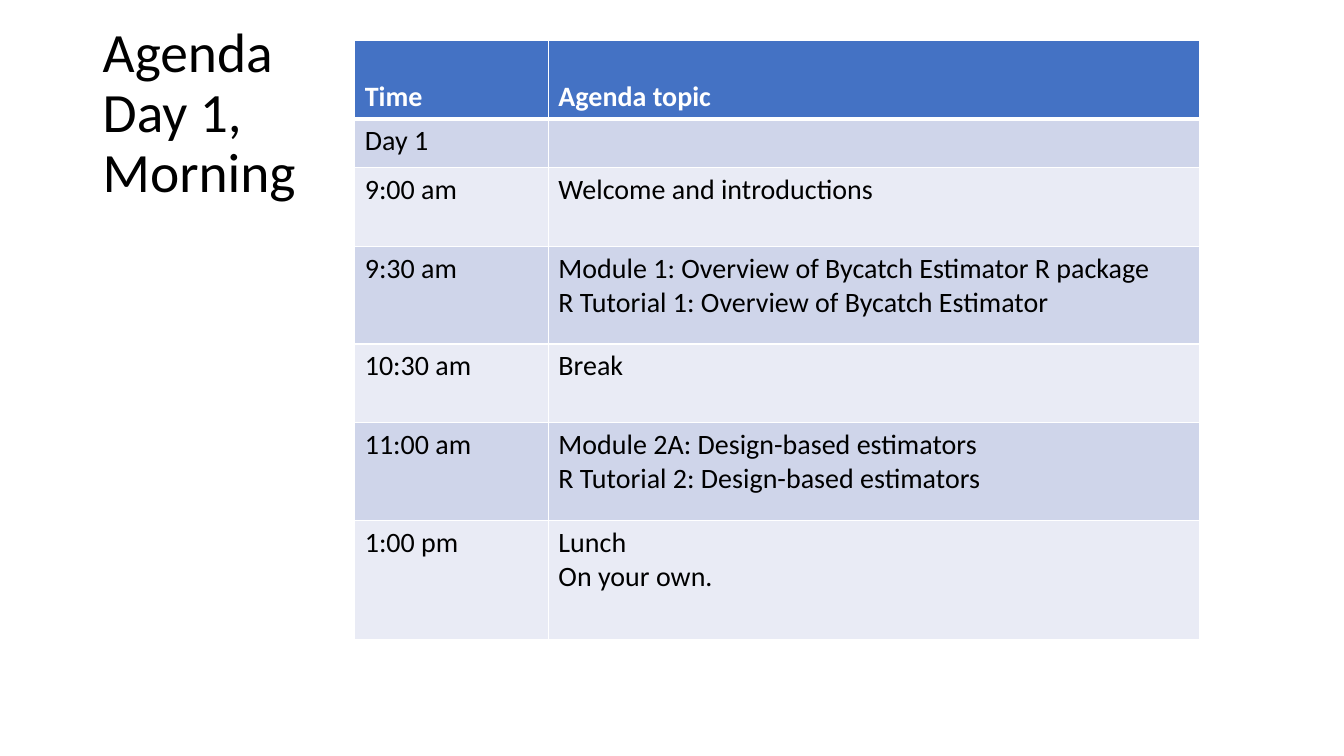
from lxml import etree
from pptx import Presentation
from pptx.dml.color import RGBColor
from pptx.enum.text import MSO_ANCHOR
from pptx.oxml.ns import qn
from pptx.util import Cm, Pt

TITLE = "Agenda\vDay 1, \vMorning"
HEADER = ("Time", "Agenda topic")
# time, topics, row height in cm
SESSIONS = [
    ("Day 1", [], 1.23),
    ("9:00 am", ["Welcome and introductions"], 1.99),
    ("9:30 am", ["Module 1: Overview of Bycatch Estimator R package",
                 "R Tutorial 1: Overview of Bycatch Estimator"], 2.46),
    ("10:30 am", ["Break"], 1.98),
    ("11:00 am", ["Module 2A: Design-based estimators",
                  "R Tutorial 2: Design-based estimators"], 2.47),
    ("1:00 pm", ["Lunch", "On your own."], 3.0),
]
HEADER_HEIGHT = 1.97
COLUMN_WIDTHS = (4.88, 16.41)
COLORS = {"header": "4472C4", "odd": "CFD5EA", "even": "E9EBF5",
          "text": "000000", "light": "FFFFFF"}
FONT = "Calibri"


def color(name):
    return RGBColor.from_string(COLORS[name])


def style_text(paragraph, size, color_name, bold=False):
    font = paragraph.font
    font.name, font.size, font.bold = FONT, Pt(size), bold
    font.color.rgb = color(color_name)


def add_border(cell, side, points):
    properties = cell._tc.get_or_add_tcPr()
    line = etree.SubElement(properties, qn(f"a:ln{side}"), w=str(Pt(points)))
    fill = etree.SubElement(line, qn("a:solidFill"))
    etree.SubElement(fill, qn("a:srgbClr"), val=COLORS["light"])


def fill_cell(cell, lines, fill, text_color="text", bold=False, top=1, bottom=1):
    for side, points in (("L", 1), ("R", 1), ("T", top), ("B", bottom)):
        add_border(cell, side, points)
    cell.fill.solid()
    cell.fill.fore_color.rgb = color(fill)
    cell.text = "\n".join(lines)
    for paragraph in cell.text_frame.paragraphs:
        style_text(paragraph, 20, text_color, bold)


def add_title(slide):
    box = slide.shapes.add_textbox(Cm(2.34), Cm(1.02), Cm(6.76), Cm(3.73))
    frame = box.text_frame
    frame.word_wrap = True
    frame.vertical_anchor = MSO_ANCHOR.MIDDLE
    frame.text = TITLE
    heading = frame.paragraphs[0]
    heading.line_spacing = 0.9
    style_text(heading, 39.6, "text")


def add_agenda(slide):
    heights = [HEADER_HEIGHT] + [height for _, _, height in SESSIONS]
    agenda = slide.shapes.add_table(
        len(heights), len(COLUMN_WIDTHS), Cm(8.94), Cm(1.02),
        Cm(sum(COLUMN_WIDTHS)), Cm(sum(heights))).table
    for column, width in zip(agenda.columns, COLUMN_WIDTHS):
        column.width = Cm(width)
    for row, height in zip(agenda.rows, heights):
        row.height = Cm(height)

    for column, label in enumerate(HEADER):
        cell = agenda.cell(0, column)
        fill_cell(cell, [label], "header", "light", bold=True, bottom=3)
        cell.vertical_anchor = MSO_ANCHOR.BOTTOM
    for row, (time, topics, _) in enumerate(SESSIONS, start=1):
        band = "odd" if row % 2 else "even"
        top = 3 if row == 1 else 1
        for column, lines in enumerate(([time], topics)):
            fill_cell(agenda.cell(row, column), lines, band, top=top)


def main():
    deck = Presentation()
    deck.slide_width, deck.slide_height = Cm(33.87), Cm(19.05)
    slide = deck.slides.add_slide(deck.slide_layouts[6])
    add_title(slide)
    add_agenda(slide)
    deck.save("out.pptx")


if __name__ == "__main__":
    main()
